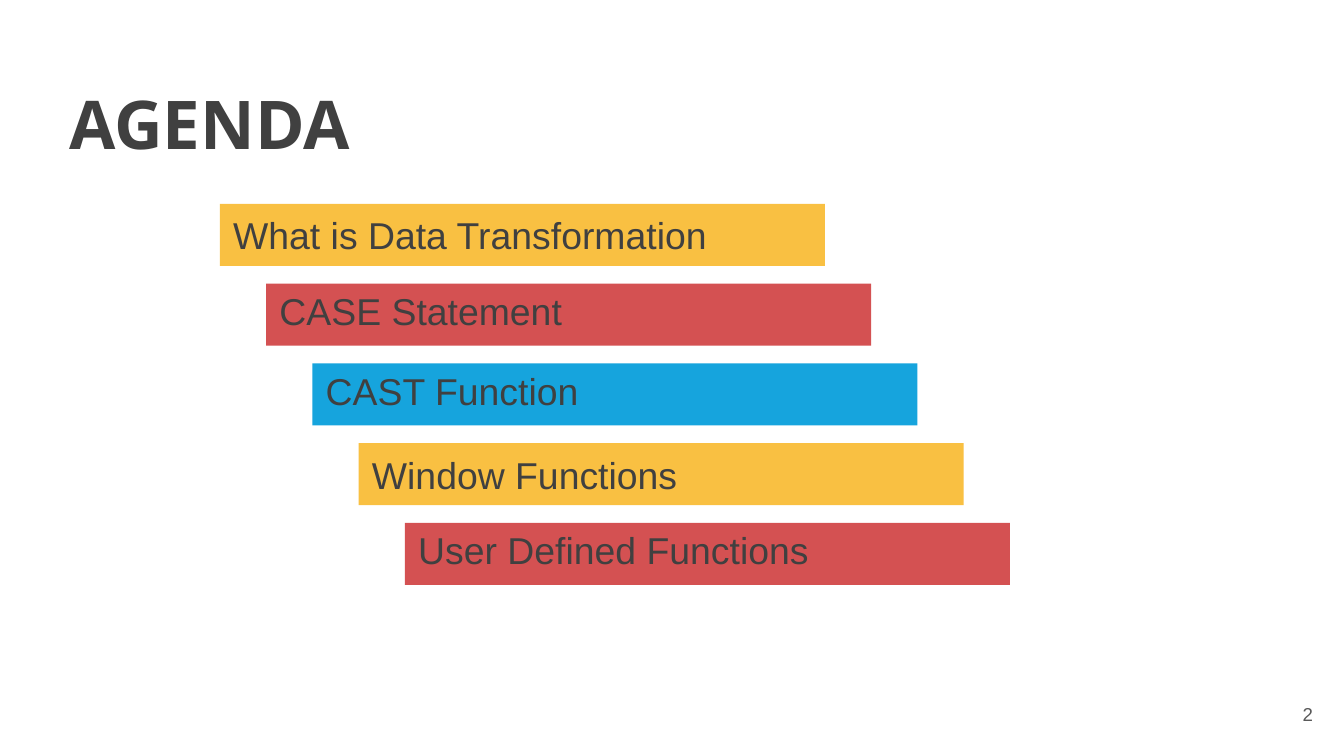
"""Build an agenda slide with a staircase of coloured topic bars."""
from pptx import Presentation
from pptx.dml.color import RGBColor
from pptx.enum.shapes import MSO_SHAPE
from pptx.enum.text import MSO_ANCHOR as Anchor, PP_ALIGN as Align
from pptx.util import Pt

THEME = {
    "yellow": "F9C042", "red": "D45152", "blue": "16A4DD",
    "ink": "404040", "muted": "595959",
    "title_font": "Open Sans", "body_font": "Arial",
    "title_size": 36, "topic_size": 20, "number_size": 10,
}
TITLE = "AGENDA"
PAGE_NUMBER = "2"
TOPICS = [
    ("What is Data Transformation", "yellow", 1.0),
    ("CASE Statement", "red", 0.8),
    ("CAST Function", "blue", 0.8),
    ("Window Functions", "yellow", 1.0),
    ("User Defined Functions", "red", 0.8),
]
SLIDE_SIZE = (1344, 756)
TITLE_BOX = (56, 69, 539, 85)
NUMBER_BOX = (1245, 685, 81, 58)
FIRST_BAR = (220, 204)
LAST_BAR = (405, 523)
BAR_SIZE = (605, 62)
INSET = Pt(7.2)
EMU_PER_PIXEL = 914400 / 134.4


def emu(pixels):
    return round(pixels * EMU_PER_PIXEL)


def color(name):
    return RGBColor.from_string(THEME[name])


def write(shape, text, role, font, ink="ink", bold=False,
          anchor=Anchor.MIDDLE, align=Align.LEFT, spacing=1.0):
    frame = shape.text_frame
    frame.word_wrap = True
    frame.vertical_anchor = anchor
    frame.margin_left = frame.margin_right = INSET
    frame.margin_top = frame.margin_bottom = INSET
    paragraph = frame.paragraphs[0]
    paragraph.alignment = align
    paragraph.line_spacing = spacing
    run = paragraph.add_run()
    run.text = text
    run.font.name = THEME[font]
    run.font.size = Pt(THEME[role])
    run.font.bold = bold
    run.font.color.rgb = color(ink)


def add_text(slide, box, text, role, font, **style):
    write(slide.shapes.add_textbox(*map(emu, box)), text, role, font, **style)


def add_bar(slide, index, text, fill, spacing):
    steps = len(TOPICS) - 1
    corner = [first + (last - first) * index / steps
              for first, last in zip(FIRST_BAR, LAST_BAR)]
    bar = slide.shapes.add_shape(MSO_SHAPE.RECTANGLE, *map(emu, (*corner, *BAR_SIZE)))
    bar.shadow.inherit = False
    bar.fill.solid()
    bar.fill.fore_color.rgb = color(fill)
    bar.line.fill.background()
    write(bar, text, "topic_size", "body_font", spacing=spacing)


presentation = Presentation()
presentation.slide_width, presentation.slide_height = map(emu, SLIDE_SIZE)
slide = presentation.slides.add_slide(presentation.slide_layouts[6])
add_text(slide, TITLE_BOX, TITLE, "title_size", "title_font", bold=True, anchor=Anchor.TOP)
for index, topic in enumerate(TOPICS):
    add_bar(slide, index, *topic)
add_text(slide, NUMBER_BOX, PAGE_NUMBER, "number_size", "body_font",
         ink="muted", align=Align.RIGHT)
presentation.save("out.pptx")
